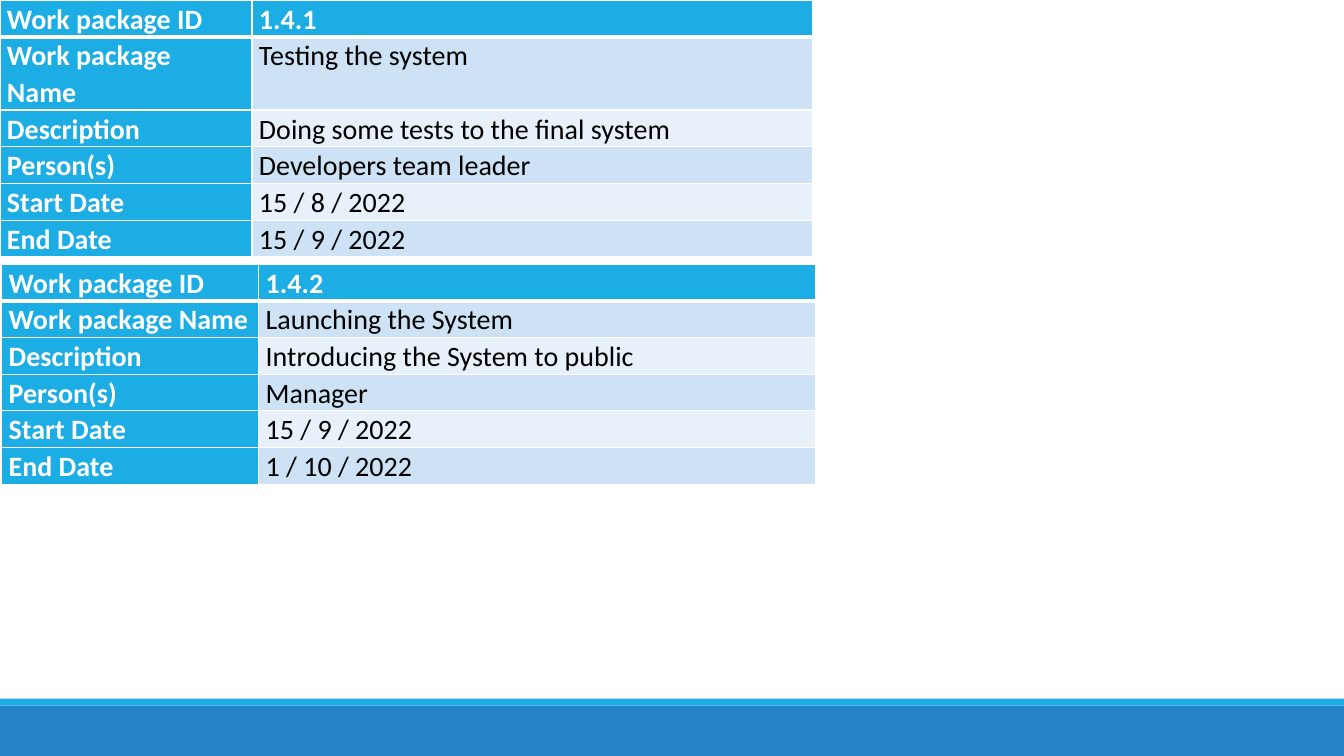
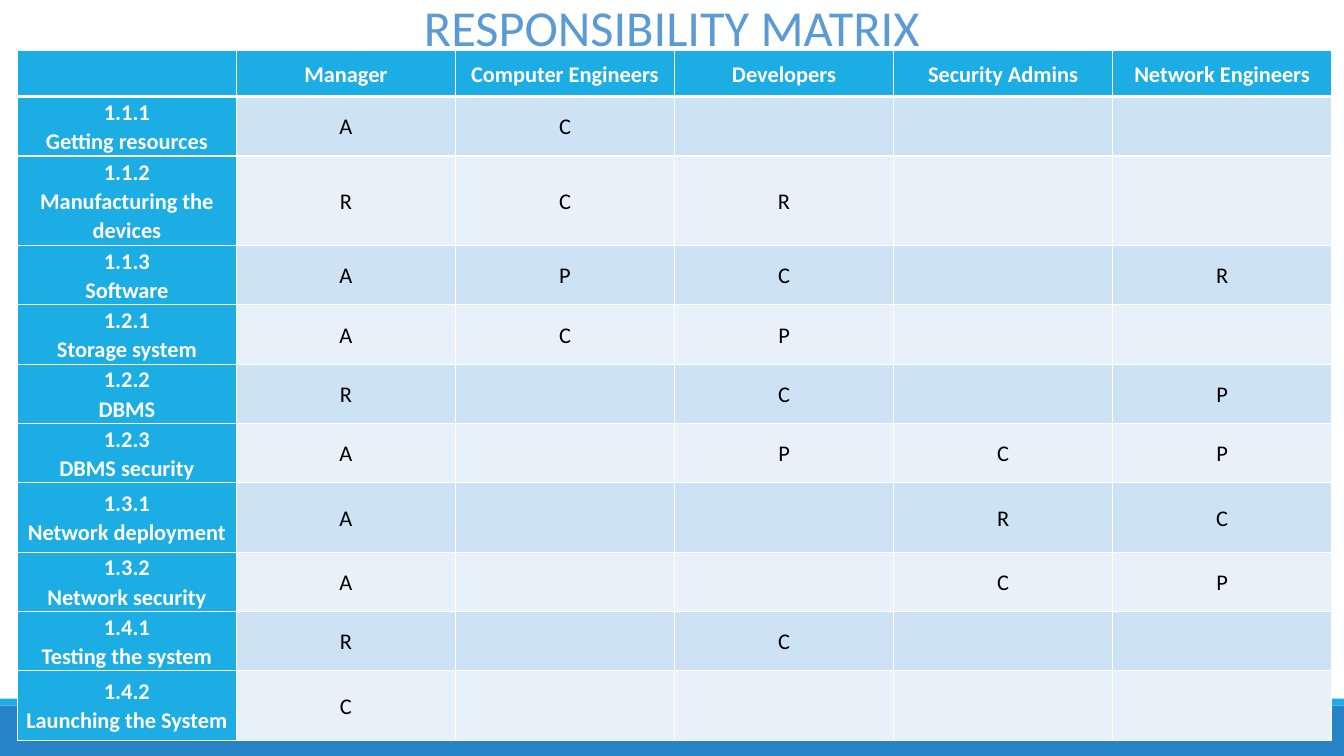
from lxml.etree import SubElement
from pptx import Presentation
from pptx.dml.color import RGBColor
from pptx.enum.shapes import MSO_SHAPE as Preset
from pptx.enum.text import MSO_ANCHOR as Anchor, PP_ALIGN as Align
from pptx.oxml.ns import qn
from pptx.util import Pt

WHITE = RGBColor(0xFF, 0xFF, 0xFF)
BLACK = RGBColor(0x00, 0x00, 0x00)
CYAN = RGBColor(0x1C, 0xAD, 0xE4)
BLUE = RGBColor(0x26, 0x83, 0xC6)
TITLE_BLUE = RGBColor(0x5B, 0x9B, 0xD5)
DARK_BAND = RGBColor(0xCD, 0xE3, 0xF5)
LIGHT_BAND = RGBColor(0xE8, 0xF1, 0xFA)
FONT = "Calibri"
SLIDE_WIDTH, SLIDE_HEIGHT = 960, 540
LINE_SPACING = 1.07
THIN, THICK = 1, 3

PACKAGE_LABELS = ["Work package ID", "Work package Name", "Description",
                  "Person(s)", "Start Date", "End Date"]
PACKAGE_ROW = 25.7
TESTING = ["1.4.1", "Testing the system", "Doing some tests to the final system",
           "Developers team leader", "15 / 8 / 2022", "15 / 9 / 2022"]
LAUNCHING = ["1.4.2", "Launching the System", "Introducing the System to public",
             "Manager", "15 / 9 / 2022", "1 / 10 / 2022"]

ROLES = ["", "Manager", "Computer Engineers", "Developers",
         "Security Admins", "Network Engineers"]
ROLES_HEIGHT = 33
TASKS = [
    ("1.1.1\nGetting resources", ["A", "C", "", "", ""], 42.4),
    ("1.1.2\nManufacturing the devices", ["R", "C", "R", "", ""], 64),
    ("1.1.3\nSoftware", ["A", "P", "C", "", "R"], 42.4),
    ("1.2.1\nStorage system", ["A", "C", "P", "", ""], 42.4),
    ("1.2.2\nDBMS", ["R", "", "C", "", "P"], 42.4),
    ("1.2.3\nDBMS security", ["A", "", "P", "C", "P"], 42.4),
    ("1.3.1\nNetwork deployment", ["A", "", "", "R", "C"], 49.6),
    ("1.3.2\nNetwork security", ["A", "", "", "C", "P"], 42.4),
    ("1.4.1\nTesting the system", ["R", "", "C", "", ""], 42.4),
    ("1.4.2\nLaunching the System", ["C", "", "", "", ""], 49.6),
]


def add_run(paragraph, text, size, color, bold=False):
    """Append one formatted run to a paragraph."""
    run = paragraph.add_run()
    run.text = text
    run.font.name = FONT
    run.font.size = Pt(size)
    run.font.bold = bold
    run.font.color.rgb = color


def add_band(slide, top, height, color):
    """Draw a full-width footer band."""
    band = slide.shapes.add_shape(Preset.RECTANGLE, 0, Pt(top), Pt(SLIDE_WIDTH), Pt(height))
    band.shadow.inherit = False
    band.fill.solid()
    band.fill.fore_color.rgb = color
    band.line.fill.background()


def add_slide(presentation):
    """Add a blank slide with the shared footer bands."""
    slide = presentation.slides.add_slide(presentation.slide_layouts[6])
    add_band(slide, 504, SLIDE_HEIGHT - 504, BLUE)
    add_band(slide, 499, 5, CYAN)
    return slide


def add_title(slide, text, left, top, width, height):
    """Place a centred title in the given box."""
    frame = slide.shapes.add_textbox(Pt(left), Pt(top), Pt(width), Pt(height)).text_frame
    frame.word_wrap = True
    frame.margin_top, frame.margin_bottom = Pt(2), 0
    paragraph = frame.paragraphs[0]
    paragraph.alignment = Align.CENTER
    paragraph.line_spacing = 0.9
    add_run(paragraph, text, 36, TITLE_BLUE)


def set_borders(cell, row):
    """Give a cell white borders, thick between the header and the body."""
    properties = cell._tc.get_or_add_tcPr()
    widths = {"a:lnL": THIN, "a:lnR": THIN,
              "a:lnT": THICK if row == 1 else THIN,
              "a:lnB": THICK if row == 0 else THIN}
    for tag, width in widths.items():
        line = SubElement(properties, qn(tag), w=str(Pt(width)))
        fill = SubElement(line, qn("a:solidFill"))
        SubElement(fill, qn("a:srgbClr"), val=str(WHITE))


def fill_cell(cell, text, row, column, size, margin, alignment, anchor):
    """Style one cell by its place in the grid and write its text."""
    heading = row == 0 or column == 0
    set_borders(cell, row)
    cell.fill.solid()
    cell.fill.fore_color.rgb = CYAN if heading else DARK_BAND if row % 2 else LIGHT_BAND
    cell.margin_left = cell.margin_right = Pt(margin)
    cell.margin_top = cell.margin_bottom = 0
    cell.vertical_anchor = anchor
    if not text:
        return
    for index, part in enumerate(text.split("\n")):
        frame = cell.text_frame
        paragraph = frame.add_paragraph() if index else frame.paragraphs[0]
        paragraph.alignment = alignment
        paragraph.line_spacing = LINE_SPACING
        add_run(paragraph, part, size, WHITE if heading else BLACK, heading)


def add_grid(slide, left, top, widths, heights, rows, size, margin, alignment, anchor):
    """Build a table with a header row, a header column and banded rows."""
    table = slide.shapes.add_table(len(rows), len(widths), Pt(left), Pt(top),
                                   Pt(sum(widths)), Pt(sum(heights))).table
    for column, width in zip(table.columns, widths):
        column.width = Pt(width)
    for row, height in zip(table.rows, heights):
        row.height = Pt(height)
    for row, texts in enumerate(rows):
        for column, text in enumerate(texts):
            fill_cell(table.cell(row, column), text, row, column,
                      size, margin, alignment, anchor)


def add_package(slide, left, top, widths, values, name_lines=1):
    """Place one work package table."""
    heights = [PACKAGE_ROW] * len(PACKAGE_LABELS)
    heights[1] *= name_lines
    add_grid(slide, left, top, widths, heights, list(zip(PACKAGE_LABELS, values)),
             20, 5, Align.LEFT, Anchor.TOP)


def add_packages_slide(presentation):
    """Build the slide with the two work packages."""
    slide = add_slide(presentation)
    add_package(slide, 0, 0, [180, 400.5], TESTING, name_lines=2)
    add_package(slide, 1.2, 188.6, [183.6, 397.6], LAUNCHING)


def add_matrix_slide(presentation):
    """Build the slide with the responsibility matrix."""
    slide = add_slide(presentation)
    add_title(slide, "RESPONSIBILITY MATRIX", 0, 0, SLIDE_WIDTH, 36)
    rows = [ROLES] + [[task, *marks] for task, marks, _ in TASKS]
    heights = [ROLES_HEIGHT] + [height for _, _, height in TASKS]
    add_grid(slide, 12.4, 36, [156.5] * len(ROLES), heights, rows,
             16, 3.6, Align.CENTER, Anchor.MIDDLE)


def main():
    """Create and save the presentation."""
    presentation = Presentation()
    presentation.slide_width = Pt(SLIDE_WIDTH)
    presentation.slide_height = Pt(SLIDE_HEIGHT)
    add_packages_slide(presentation)
    add_matrix_slide(presentation)
    presentation.save("out.pptx")


if __name__ == "__main__":
    main()
